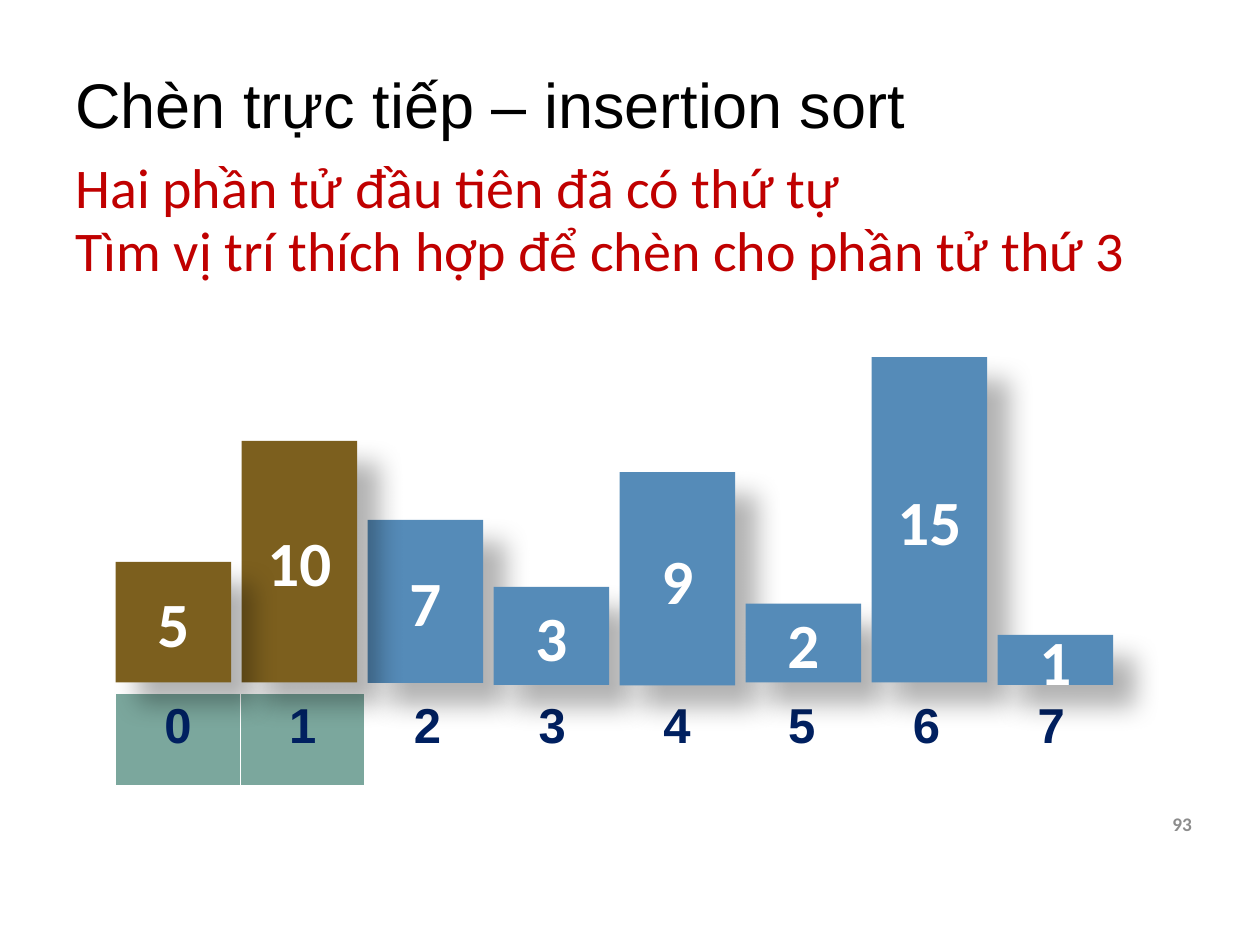
from lxml import etree
from pptx import Presentation
from pptx.dml.color import RGBColor
from pptx.enum.shapes import MSO_SHAPE
from pptx.enum.text import MSO_ANCHOR, MSO_AUTO_SIZE, PP_ALIGN
from pptx.oxml import parse_xml
from pptx.oxml.ns import nsdecls, qn
from pptx.util import Cm, Pt

RECTANGLE = MSO_SHAPE.RECTANGLE
TOP, MIDDLE = MSO_ANCHOR.TOP, MSO_ANCHOR.MIDDLE
LEFT, CENTER, RIGHT = PP_ALIGN.LEFT, PP_ALIGN.CENTER, PP_ALIGN.RIGHT
GROW = MSO_AUTO_SIZE.SHAPE_TO_FIT_TEXT

BLACK = RGBColor(0x00, 0x00, 0x00)
WHITE = RGBColor(0xFF, 0xFF, 0xFF)
RED = RGBColor(0xC0, 0x00, 0x00)
GRAY = RGBColor(0x8C, 0x8C, 0x8C)
NAVY = RGBColor(0x00, 0x20, 0x60)
BLUE = RGBColor(0x55, 0x8B, 0xB8)
BROWN = RGBColor(0x7C, 0x5F, 0x1E)
GREEN = RGBColor(0x7B, 0xA7, 0x9D)

TITLE_FORMAT = {"name": "Arial", "size": Pt(36), "color": BLACK}
STEP_FORMAT = {"name": "Calibri", "size": Pt(32), "color": RED}
NUMBER_FORMAT = {"name": "Calibri", "size": Pt(11), "bold": True, "color": GRAY}
VALUE_FORMAT = {"name": "Calibri", "size": Pt(36), "bold": True, "color": WHITE}
INDEX_FORMAT = {"name": "Arial", "size": Pt(28), "bold": True, "color": NAVY}

# Value, top and height in cm, in array order
BARS = [
    (5, 11.33, 2.43), (10, 8.89, 4.87), (7, 10.48, 3.29), (3, 11.83, 1.98),
    (9, 9.52, 4.3), (2, 12.17, 1.59), (15, 7.2, 6.56), (1, 12.8, 1.01),
]
SORTED_COUNT = 2
ARRAY_LEFT, BAR_PITCH, BAR_WIDTH = 2.33, 2.54, 2.33
INDEX_TOP, INDEX_WIDTH, INDEX_HEIGHT = 13.97, 20.12, 1.9


def write_text(text_frame, text, formats, alignment=LEFT):
    paragraph = text_frame.paragraphs[0]
    paragraph.alignment = alignment
    run = paragraph.add_run()
    run.text = text
    for attribute, value in formats.items():
        if attribute == "color":
            run.font.color.rgb = value
        else:
            setattr(run.font, attribute, value)
    return paragraph


def add_text(slide, text, box, formats, alignment=LEFT, anchor=TOP):
    shape = slide.shapes.add_textbox(*map(Cm, box))
    shape.text_frame.word_wrap = True
    shape.text_frame.vertical_anchor = anchor
    write_text(shape.text_frame, text, formats, alignment)
    return shape


def add_shadow(shape):
    """Give the shape a soft shadow to the lower right."""
    shape.shadow.inherit = False
    effects = shape._element.spPr.find(qn("a:effectLst"))
    effects.append(parse_xml(
        f'<a:outerShdw {nsdecls("a")} blurRad="{Pt(15)}" dist="{Pt(18)}" '
        'dir="2700000" algn="tl" rotWithShape="0"><a:srgbClr val="000000">'
        '<a:alpha val="30000"/></a:srgbClr></a:outerShdw>'))


def add_bar(slide, index):
    value, top, height = BARS[index]
    left = ARRAY_LEFT + index * BAR_PITCH
    shape = slide.shapes.add_shape(
        RECTANGLE, Cm(left), Cm(top), Cm(BAR_WIDTH), Cm(height))
    shape.fill.solid()
    shape.fill.fore_color.rgb = BROWN if index < SORTED_COUNT else BLUE
    shape.line.fill.background()
    add_shadow(shape)
    shape.text_frame.vertical_anchor = MIDDLE
    write_text(shape.text_frame, str(value), VALUE_FORMAT, CENTER)


def set_borders(cell):
    properties = cell._tc.get_or_add_tcPr()
    for position, (side, width) in enumerate(
            {"lnL": 1, "lnR": 1, "lnT": 1, "lnB": 3}.items()):
        line = etree.Element(qn(f"a:{side}"), w=str(Pt(width)))
        fill = etree.SubElement(line, qn("a:solidFill"))
        etree.SubElement(fill, qn("a:srgbClr"), val=str(WHITE))
        properties.insert(position, line)


def add_index_row(slide):
    table = slide.shapes.add_table(
        1, len(BARS), Cm(ARRAY_LEFT), Cm(INDEX_TOP),
        Cm(INDEX_WIDTH), Cm(INDEX_HEIGHT)).table
    for index, cell in enumerate(table.iter_cells()):
        if index < SORTED_COUNT:
            cell.fill.solid()
            cell.fill.fore_color.rgb = GREEN
        else:
            cell.fill.background()
        set_borders(cell)
        write_text(cell.text_frame, str(index), INDEX_FORMAT, CENTER)


def main():
    presentation = Presentation()
    presentation.slide_width, presentation.slide_height = Cm(25.4), Cm(19.05)
    slide = presentation.slides.add_slide(presentation.slide_layouts[6])

    add_index_row(slide)
    title = add_text(slide, "Chèn trực tiếp – insertion sort",
                     (1.27, 0.76, 22.66, 2.84), TITLE_FORMAT, anchor=MIDDLE)
    title.text_frame.paragraphs[0].line_spacing = 0.9
    add_text(slide, "93", (22.58, 15.88, 1.7, 1.45), NUMBER_FORMAT, RIGHT, MIDDLE)
    for index in range(SORTED_COUNT, len(BARS)):
        add_bar(slide, index)

    steps = [
        ("Hai phần tử đầu tiên đã có thứ tự", 2.96, 22.02),
        ("Tìm vị trí thích hợp để chèn cho phần tử thứ 3", 4.23, 22.43),
    ]
    for text, top, width in steps:
        step = add_text(slide, text, (1.27, top, width, 1.62), STEP_FORMAT)
        step.text_frame.auto_size = GROW

    # The sorted bars lie in front, the first one topmost
    for index in reversed(range(SORTED_COUNT)):
        add_bar(slide, index)

    presentation.save("out.pptx")


if __name__ == "__main__":
    main()
